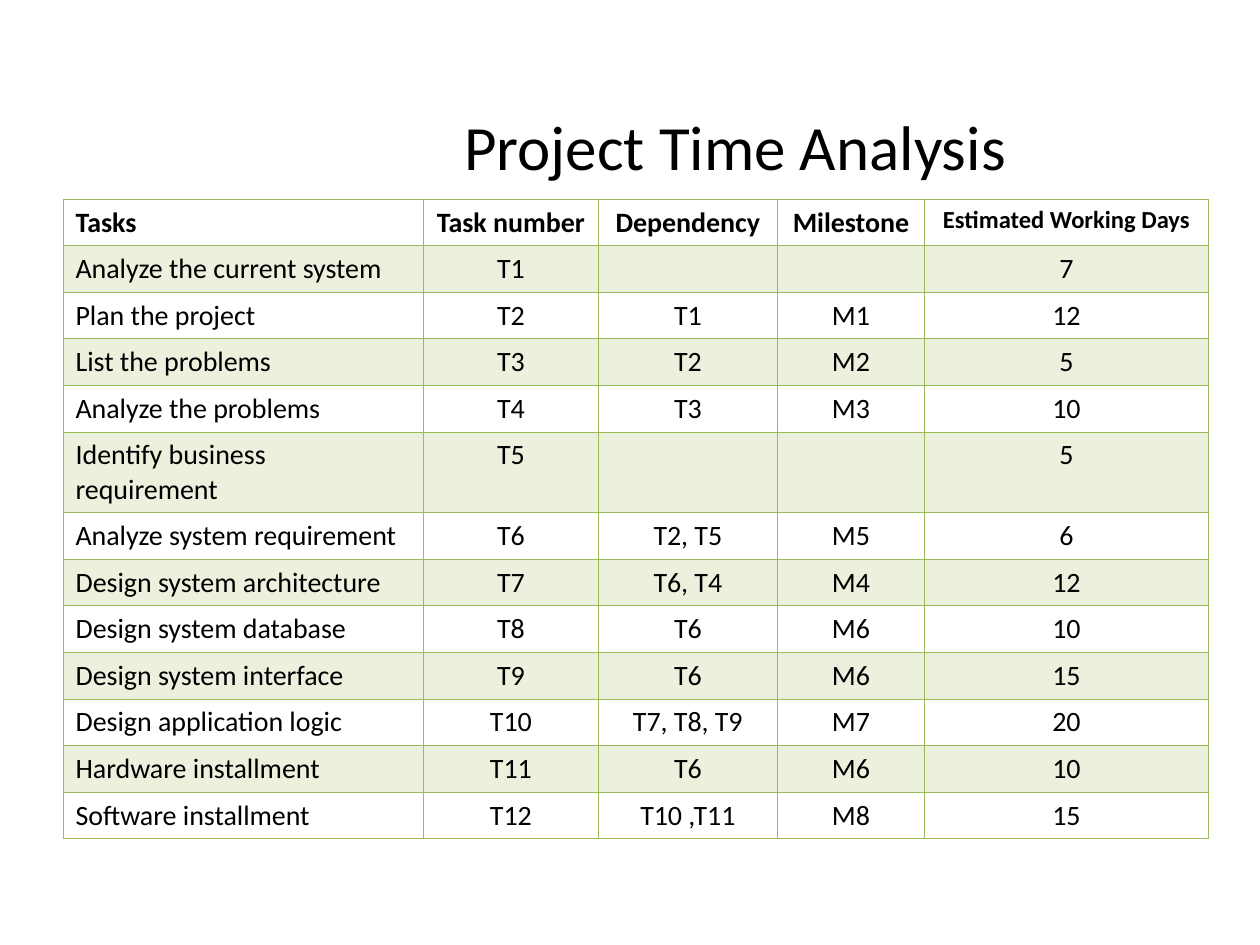
from lxml import etree
from pptx import Presentation
from pptx.dml.color import RGBColor
from pptx.enum import text
from pptx.oxml.ns import qn
from pptx.util import Inches, Pt

TITLE = "Project Time Analysis"
HEADINGS = ("Tasks", "Task number", "Dependency", "Milestone", "Estimated Working Days")
# task, dependency, milestone, working days; tasks are numbered in order
TASKS = [
    ("Analyze the current system", "", "", 7),
    ("Plan the project", "T1", "M1", 12),
    ("List the problems", "T2", "M2", 5),
    ("Analyze the problems", "T3", "M3", 10),
    ("Identify business requirement", "", "", 5),
    ("Analyze system requirement", "T2, T5", "M5", 6),
    ("Design system architecture", "T6, T4", "M4", 12),
    ("Design system database", "T6", "M6", 10),
    ("Design system interface", "T6", "M6", 15),
    ("Design application logic", "T7, T8, T9", "M7", 20),
    ("Hardware installment", "T6", "M6", 10),
    ("Software installment", "T10 ,T11", "M8", 15),
]
COLUMN_WIDTHS = (2.86, 1.39, 1.42, 1.17, 2.25)
ROW_HEIGHT, TWO_LINE_HEIGHT = 0.37, 0.64
TWO_LINE_ROW = 5
COLORS = {"text": "000000", "green": "9BBB59"}
FONT = "Calibri"
BAND_ALPHA = 20
THIN, HEADER_RULE = 0.45, 0.96


def style_paragraph(paragraph, size, align, bold=False):
    paragraph.alignment = align
    for run in paragraph.runs:
        run.font.name = FONT
        run.font.size = Pt(size)
        run.font.bold = bold
        run.font.color.rgb = RGBColor.from_string(COLORS["text"])
    if not paragraph.runs:  # keeps an empty cell from stretching its row
        etree.SubElement(paragraph._p, qn("a:endParaRPr"), sz=str(size * 100))


def add_borders(cell, row):
    widths = {
        "lnL": THIN,
        "lnR": THIN,
        "lnT": HEADER_RULE if row == 1 else THIN,
        "lnB": HEADER_RULE if row == 0 else THIN,
    }
    properties = cell._tc.get_or_add_tcPr()
    for side, width in widths.items():
        line = etree.SubElement(properties, qn(f"a:{side}"), w=str(int(Pt(width))))
        fill = etree.SubElement(line, qn("a:solidFill"))
        etree.SubElement(fill, qn("a:srgbClr"), val=COLORS["green"])


def fill_cell(cell, row):
    """Tint odd rows and leave the others clear."""
    if row % 2 == 0:
        cell.fill.background()
        return
    cell.fill.solid()
    cell.fill.fore_color.rgb = RGBColor.from_string(COLORS["green"])
    color = cell._tc.tcPr.find(qn("a:solidFill")).find(qn("a:srgbClr"))
    etree.SubElement(color, qn("a:alpha"), val=str(BAND_ALPHA * 1000))


def add_title(slide):
    title = slide.shapes.add_textbox(Inches(2.17), Inches(0.75), Inches(7.33), Inches(0.8))
    frame = title.text_frame
    frame.word_wrap = True
    frame.vertical_anchor = text.MSO_ANCHOR.MIDDLE
    frame.text = TITLE
    style_paragraph(frame.paragraphs[0], 36, text.PP_ALIGN.CENTER)


def add_schedule(slide):
    rows = [HEADINGS] + [
        (task, f"T{number}", dependency, milestone, str(days))
        for number, (task, dependency, milestone, days) in enumerate(TASKS, 1)
    ]
    heights = [ROW_HEIGHT] * len(rows)
    heights[TWO_LINE_ROW] = TWO_LINE_HEIGHT
    schedule = slide.shapes.add_table(
        len(rows), len(HEADINGS), Inches(0.5), Inches(1.58),
        Inches(sum(COLUMN_WIDTHS)), Inches(sum(heights)),
    ).table
    schedule.horz_banding = False
    for column, width in zip(schedule.columns, COLUMN_WIDTHS):
        column.width = Inches(width)

    for r, values in enumerate(rows):
        schedule.rows[r].height = Inches(heights[r])
        for c, value in enumerate(values):
            cell = schedule.cell(r, c)
            cell.text_frame.text = value
            size = 14 if value == HEADINGS[-1] else 16
            align = text.PP_ALIGN.CENTER if c else text.PP_ALIGN.LEFT
            style_paragraph(cell.text_frame.paragraphs[0], size, align, bold=r == 0)
            add_borders(cell, r)
            fill_cell(cell, r)


def main():
    deck = Presentation()
    deck.slide_width, deck.slide_height = Inches(10), Inches(7.5)
    slide = deck.slides.add_slide(deck.slide_layouts[6])
    add_title(slide)
    add_schedule(slide)
    deck.save("out.pptx")


if __name__ == "__main__":
    main()
